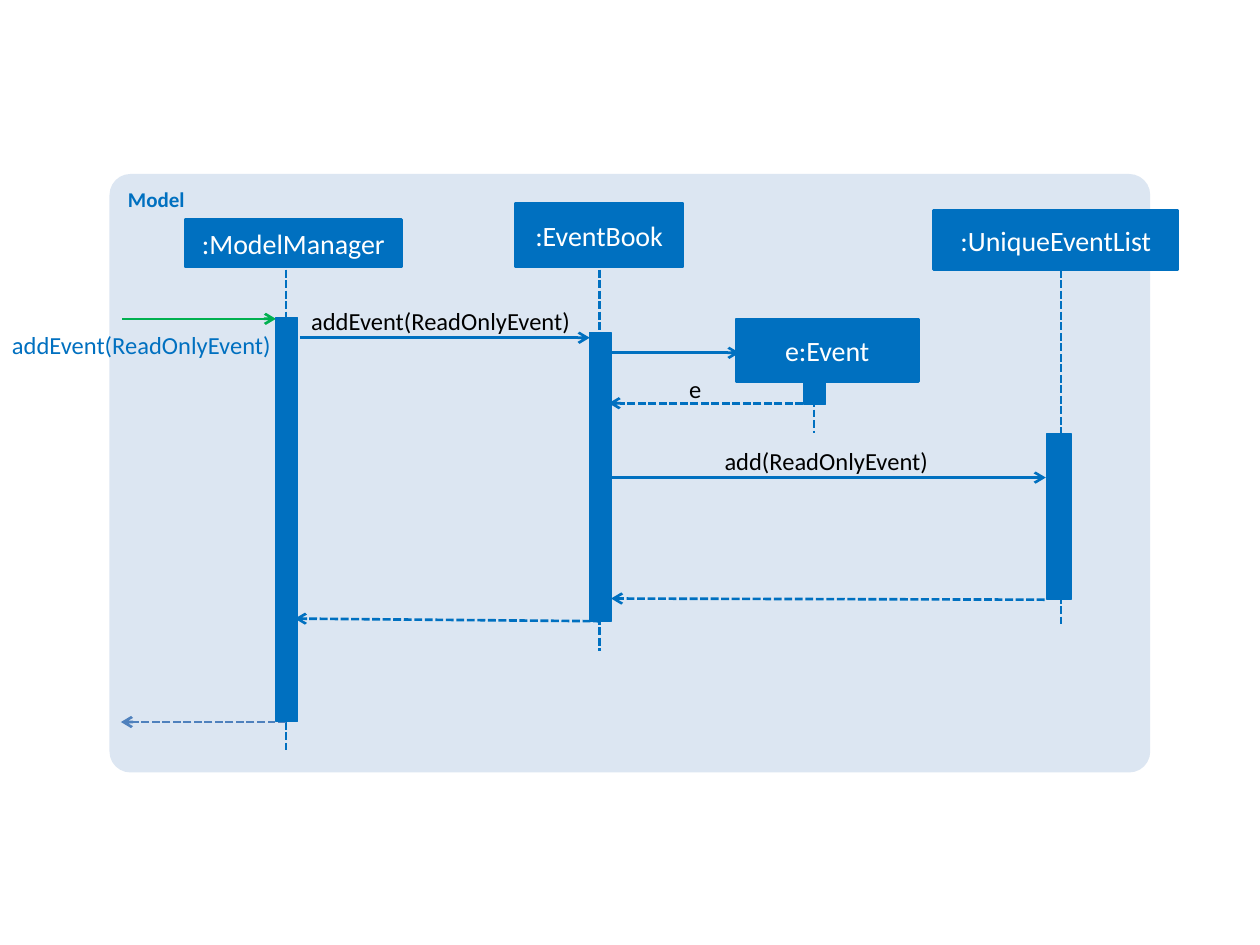
"""Builds a sequence diagram of adding an event inside the Model component."""
from lxml.etree import SubElement
from pptx import Presentation
from pptx.dml.color import RGBColor
from pptx.enum.dml import MSO_LINE
from pptx.enum.shapes import MSO_CONNECTOR, MSO_SHAPE
from pptx.enum.text import MSO_ANCHOR, PP_ALIGN
from pptx.oxml.ns import qn
from pptx.util import Pt

BLUE, GREEN, STEEL, PALE = "0070C0", "00B050", "4F81BD", "DCE6F2"
WHITE, BLACK = "FFFFFF", "000000"

prs = Presentation()
prs.slide_width, prs.slide_height = Pt(720), Pt(540)
shapes = prs.slides.add_slide(prs.slide_layouts[6]).shapes


def paint(color_format, color):
    color_format.rgb = RGBColor.from_string(color)


def write(shape, text, size, color, align):
    shape.text_frame.text = text
    paragraph = shape.text_frame.paragraphs[0]
    paragraph.alignment = align
    font = paragraph.runs[0].font
    font.name, font.size = "Calibri", Pt(size)
    paint(font.color, color)
    return font


model = shapes.add_shape(MSO_SHAPE.ROUNDED_RECTANGLE, Pt(62.6), Pt(99.4), Pt(594.7), Pt(342))
model.adjustments[0] = 0.035
model.shadow.inherit = False
model.fill.solid()
paint(model.fill.fore_color, PALE)
model.line.fill.background()
model.text_frame.vertical_anchor = MSO_ANCHOR.TOP
write(model, "Model", 12, BLUE, PP_ALIGN.LEFT).bold = True

participants = [
    (":ModelManager", (105.8, 125.3, 123.8, 27.4), (163.4, 154.1, 428.4), (157.7, 181.4, 12.2, 231.1)),
    (":EventBook", (294.5, 115.9, 95.8, 36.7), (342.7, 154.1, 372.2), (337, 190.1, 12.2, 164.9)),
    ("e:Event", (420.5, 182.2, 104.4, 36), (465.1, 216, 247.7), (459.4, 209.5, 12.2, 21.6)),
    (":UniqueEventList", (533.5, 120.2, 139.7, 33.8), (606.2, 154.1, 356.4), (598.3, 247.7, 13.7, 95)),
]
lifelines = [(x, top, x, bottom, BLUE, True, False)
             for _, _, (x, top, bottom), _ in participants]
messages = [
    (69.8, 182.2, 157.7, 182.2, GREEN, False, True),
    (171.4, 193, 337, 193, BLUE, False, True),
    (349.9, 201.6, 422.6, 201.6, BLUE, False, True),
    (465.1, 230.4, 347.8, 230.4, BLUE, True, True),
    (348.5, 272.9, 597.6, 272.9, BLUE, False, True),
    (596.9, 342.7, 349.2, 342, BLUE, True, True),
    (343.4, 355, 168.5, 353.5, BLUE, True, True),
    (163.4, 412.6, 69.1, 412.6, STEEL, True, True),
]
connectors = []
for x1, y1, x2, y2, color, dashed, arrow in lifelines + messages:
    connector = shapes.add_connector(MSO_CONNECTOR.STRAIGHT, Pt(x1), Pt(y1), Pt(x2), Pt(y2))
    connector.line.width = Pt(1.5)
    paint(connector.line.color, color)
    if dashed:
        connector.line.dash_style = MSO_LINE.SQUARE_DOT
    if arrow:
        SubElement(connector.line._get_or_add_ln(), qn("a:tailEnd"), type="arrow")
    SubElement(connector._element.spPr, qn("a:effectLst"))

for name, head_box, _, activation_box in participants:
    for box, line_width, title in ((activation_box, 0.75, ""), (head_box, 1.5, name)):
        block = shapes.add_shape(MSO_SHAPE.RECTANGLE, *map(Pt, box))
        block.shadow.inherit = False
        block.fill.solid()
        paint(block.fill.fore_color, BLUE)
        paint(block.line.color, BLUE)
        block.line.width = Pt(line_width)
        if title:
            block.text_frame.vertical_anchor = MSO_ANCHOR.MIDDLE
            block.text_frame.word_wrap = False
            write(block, title, 16, WHITE, PP_ALIGN.CENTER)

labels = [
    ("addEvent(ReadOnlyEvent)", -69.1, 188.6, 223.9, BLUE, PP_ALIGN.RIGHT),
    ("addEvent(ReadOnlyEvent)", 177.8, 175, 200.9, BLACK, PP_ALIGN.LEFT),
    ("e", 393.8, 213.8, 25.9, BLACK, PP_ALIGN.LEFT),
    ("add(ReadOnlyEvent)", 414, 254.9, 133.2, BLACK, PP_ALIGN.LEFT),
]
for text, left, top, width, color, align in labels:
    label = shapes.add_textbox(Pt(left), Pt(top), Pt(width), Pt(17.3))
    frame = label.text_frame
    frame.word_wrap = True
    frame.margin_left = frame.margin_top = frame.margin_right = frame.margin_bottom = Pt(0)
    write(label, text, 14, color, align)

prs.save("out.pptx")
